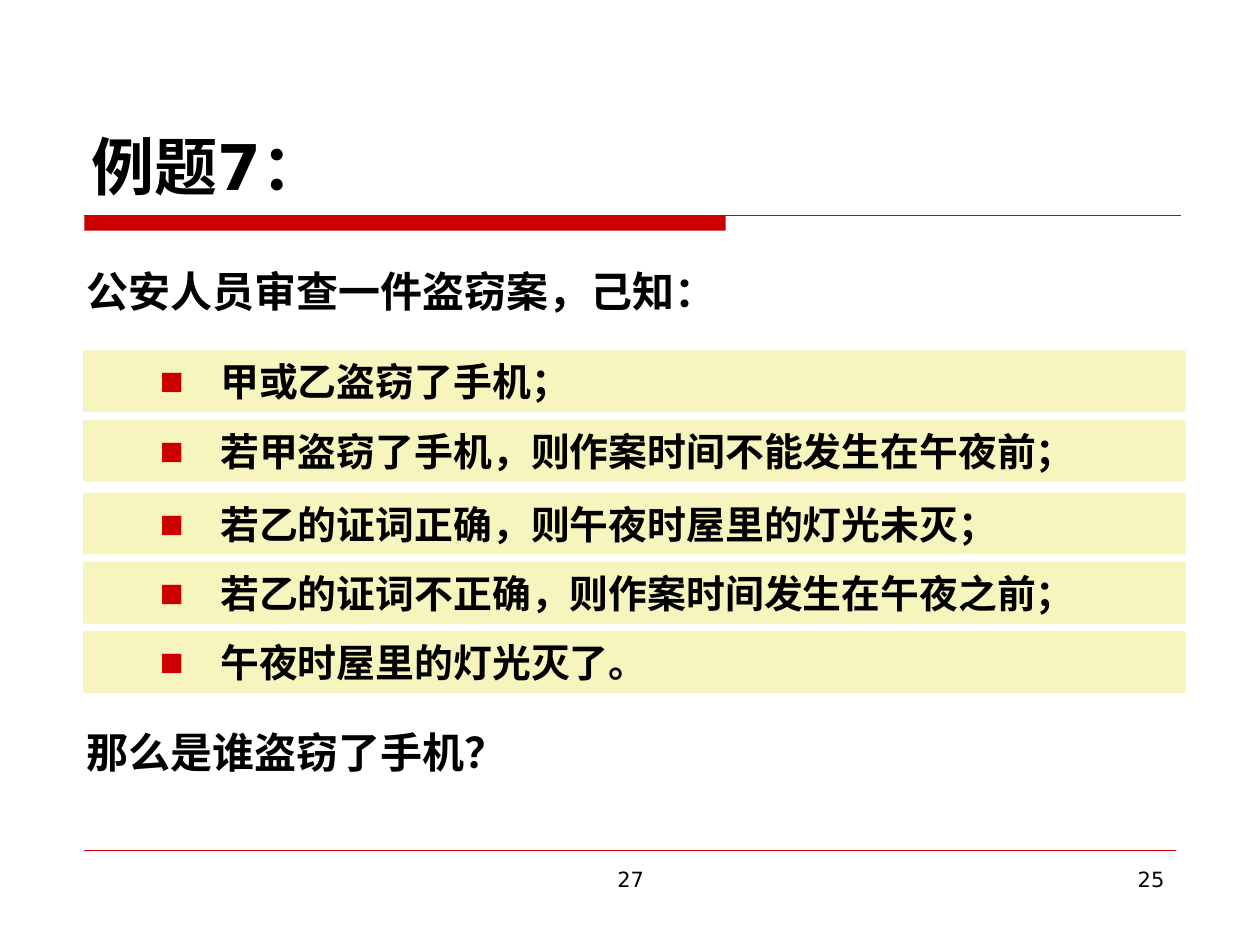
from lxml import etree
from pptx import Presentation
from pptx.dml.color import RGBColor
from pptx.enum.shapes import MSO_CONNECTOR as CONNECTOR, MSO_SHAPE as SHAPE
from pptx.enum.text import MSO_ANCHOR as ANCHOR, PP_ALIGN as ALIGN
from pptx.oxml.ns import qn
from pptx.util import Inches, Pt

FONT = "DejaVu Sans"
RED, YELLOW, BLACK = "CC0000", "F6F5BD", "000000"


def color(hex_string):
    return RGBColor.from_string(hex_string)


def write(shape, text, size, bold=True, align=ALIGN.LEFT, anchor=ANCHOR.TOP, bullet=False):
    """Fill the shape with one paragraph, optionally with a red square bullet."""
    frame = shape.text_frame
    frame.word_wrap = True
    frame.vertical_anchor = anchor
    para = frame.paragraphs[0]
    para.text = text
    para.alignment = align
    if bullet:
        props = para._p.get_or_add_pPr()
        props.set("marL", str(Inches(0.99)))
        props.set("indent", str(Inches(-0.48)))
        bullet_color = etree.SubElement(props, qn("a:buClr"))
        etree.SubElement(bullet_color, qn("a:srgbClr"), val=RED)
        etree.SubElement(props, qn("a:buSzPct"), val="65000")
        etree.SubElement(props, qn("a:buFont"), typeface=FONT)
        etree.SubElement(props, qn("a:buChar"), char="■")
    para.font.name = FONT
    para.font.size = Pt(size)
    para.font.bold = bold
    para.font.color.rgb = color(BLACK)


deck = Presentation()
deck.slide_width, deck.slide_height = Inches(10), Inches(7.5)
page = deck.slides.add_slide(deck.slide_layouts[6])
shapes = page.shapes

# Red rules: a thick bar with a line under the title, a hairline above the footer
title_bar = shapes.add_shape(SHAPE.RECTANGLE, Inches(0.67), Inches(1.71), Inches(5.09), Inches(0.12))
title_bar.shadow.inherit = False
title_bar.fill.solid()
title_bar.fill.fore_color.rgb = color(RED)
title_bar.line.fill.background()

for right, top, width in [(9.37, 1.71, 0.75), (9.33, 6.75, 0.25)]:
    rule = shapes.add_connector(CONNECTOR.STRAIGHT, Inches(0.67), Inches(top), Inches(right), Inches(top))
    rule.line.color.rgb = color(RED)
    rule.line.width = Pt(width)
    etree.SubElement(rule._element.spPr, qn("a:effectLst"))

# Title
title = shapes.add_textbox(Inches(0.63), Inches(0.33), Inches(8.75), Inches(1.33))
write(title, "例题7：", 36, anchor=ANCHOR.BOTTOM)

# Opening statement and closing question
for top, text in [(2.06, "公安人员审查一件盗窃案，己知："), (5.72, "那么是谁盗窃了手机？")]:
    box = shapes.add_textbox(Inches(0.59), Inches(top), Inches(9.06), Inches(0.5))
    write(box, text, 24)

# Known facts
facts = [
    (2.78, "甲或乙盗窃了手机；"),
    (3.33, "若甲盗窃了手机，则作案时间不能发生在午夜前；"),
    (3.91, "若乙的证词正确，则午夜时屋里的灯光未灭；"),
    (4.46, "若乙的证词不正确，则作案时间发生在午夜之前；"),
    (5.01, "午夜时屋里的灯光灭了。"),
]
for top, text in facts:
    band = shapes.add_shape(SHAPE.RECTANGLE, Inches(0.66), Inches(top), Inches(8.75), Inches(0.49))
    band.shadow.inherit = False
    band.fill.solid()
    band.fill.fore_color.rgb = color(YELLOW)
    band.line.fill.background()
    write(band, text, 22.2, anchor=ANCHOR.MIDDLE, bullet=True)

# Footer numbers
for left, width, text, align in [(3.42, 3.17, "27", ALIGN.CENTER), (7.17, 2.17, "25", ALIGN.RIGHT)]:
    footer = shapes.add_textbox(Inches(left), Inches(6.83), Inches(width), Inches(0.52))
    write(footer, text, 12, bold=False, align=align)

deck.save("out.pptx")
